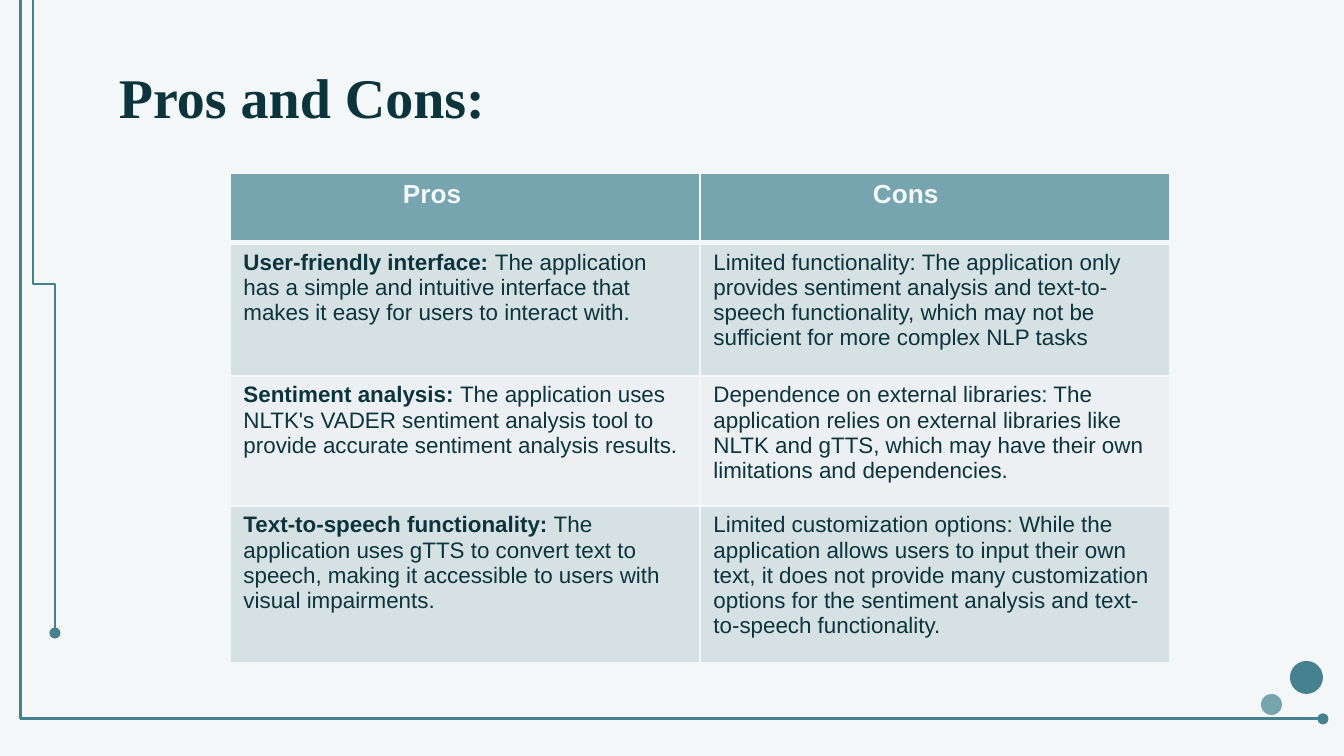
from lxml import etree
from pptx import Presentation
from pptx.dml.color import RGBColor
from pptx.enum.shapes import MSO_CONNECTOR, MSO_SHAPE
from pptx.enum.text import MSO_ANCHOR
from pptx.oxml.ns import qn
from pptx.util import Pt

ELBOW = MSO_CONNECTOR.ELBOW
OVAL = MSO_SHAPE.OVAL
TOP = MSO_ANCHOR.TOP

PALE, TEAL, SEA, INK = "F3F7F8", "45818E", "76A5AF", "0C343D"
BANDS = ["D6E1E3", "ECF0F2"]

TITLE = "Pros and Cons:"
HEADS = ["Pros", "Cons"]
ROWS = [
    (("User-friendly interface: ",
      "The application has a simple and intuitive interface that makes it easy "
      "for users to interact with."),
     ("", "Limited functionality: The application only provides sentiment analysis "
      "and text-to-speech functionality, which may not be sufficient for more "
      "complex NLP tasks")),
    (("Sentiment analysis: ",
      "The application uses NLTK's VADER sentiment analysis tool to provide "
      "accurate sentiment analysis results."),
     ("", "Dependence on external libraries: The application relies on external "
      "libraries like NLTK and gTTS, which may have their own limitations and "
      "dependencies.")),
    (("Text-to-speech functionality:",
      " The application uses gTTS to convert text to speech, making it accessible "
      "to users with visual impairments."),
     ("", "Limited customization options: While the application allows users to "
      "input their own text, it does not provide many customization options for "
      "the sentiment analysis and text-to-speech functionality.")),
]
HEIGHTS = [70, 133, 130, 157]
WIDTH = 470
DOTS = [(1261, 694, 21, SEA), (1290, 661, 33, TEAL)]
TRACKS = [
    ((10, -87, 1323, 719), 0, 800),
    ((393, 273, -305, 295), 270, 50000),
]


def px(n):
    return round(n * 914400 / 134.4)


def rgb(code):
    return RGBColor.from_string(code)


def paint(fill, code):
    fill.solid()
    fill.fore_color.rgb = rgb(code)


def style(run, size, code, bold, face="Arial"):
    font = run.font
    font.size, font.bold, font.name = Pt(size), bold, face
    font.color.rgb = rgb(code)


def edge(cell, side, width):
    props = cell._tc.get_or_add_tcPr()
    line = etree.SubElement(props, qn("a:ln" + side), w=str(Pt(width)))
    fill = etree.SubElement(line, qn("a:solidFill"))
    etree.SubElement(fill, qn("a:srgbClr"), val=PALE)


def track(shapes, ends, turn, bend):
    link = shapes.add_connector(ELBOW, *map(px, ends))
    link.line.color.rgb = rgb(TEAL)
    link.line.width = Pt(1.5)
    etree.SubElement(link.line._get_or_add_ln(), qn("a:tailEnd"), type="oval")
    props = link._element.spPr
    etree.SubElement(props, qn("a:effectLst"))
    props.find(qn("a:xfrm")).set("rot", str(turn * 60000))
    guides = props.find(qn("a:prstGeom")).find(qn("a:avLst"))
    etree.SubElement(guides, qn("a:gd"), name="adj1", fmla=f"val {bend}")


def dot(shapes, left, top, size, code):
    shape = shapes.add_shape(OVAL, px(left), px(top), px(size), px(size))
    shape.shadow.inherit = False
    paint(shape.fill, code)
    shape.line.fill.background()


def grid(shapes):
    count = len(HEIGHTS)
    table = shapes.add_table(count, len(HEADS), px(230), px(173),
                             px(WIDTH * len(HEADS)), px(sum(HEIGHTS))).table
    for row, height in zip(table.rows, HEIGHTS):
        row.height = px(height)
    for col in table.columns:
        col.width = px(WIDTH)
    for r in range(count):
        for c, head in enumerate(HEADS):
            cell = table.cell(r, c)
            edge(cell, "L", 1)
            edge(cell, "R", 1)
            edge(cell, "T", 3 if r == 1 else 1)
            edge(cell, "B", 3 if r == 0 else 1)
            para = cell.text_frame.paragraphs[0]
            if r == 0:
                paint(cell.fill, SEA)
                cell.margin_left = px(173)
                para.text = head
                style(para.runs[0], 14, PALE, True)
                continue
            paint(cell.fill, BANDS[(r - 1) % 2])
            for text, bold in zip(ROWS[r - 1][c], (True, False)):
                if text:
                    run = para.add_run()
                    run.text = text
                    style(run, 12, INK, bold)


def title(shapes):
    frame = shapes.add_textbox(px(106), px(50), px(1133), px(101)).text_frame
    frame.word_wrap = True
    frame.vertical_anchor = TOP
    frame.margin_left = frame.margin_right = px(13)
    frame.margin_top = frame.margin_bottom = px(13)
    frame.text = TITLE
    style(frame.paragraphs[0].runs[0], 30, INK, True, "Times New Roman")


def main():
    deck = Presentation()
    deck.slide_width, deck.slide_height = px(1344), px(756)
    slide = deck.slides.add_slide(deck.slide_layouts[6])
    paint(slide.background.fill, PALE)
    for item in DOTS:
        dot(slide.shapes, *item)
    for item in TRACKS:
        track(slide.shapes, *item)
    grid(slide.shapes)
    title(slide.shapes)
    deck.save("out.pptx")


if __name__ == "__main__":
    main()
